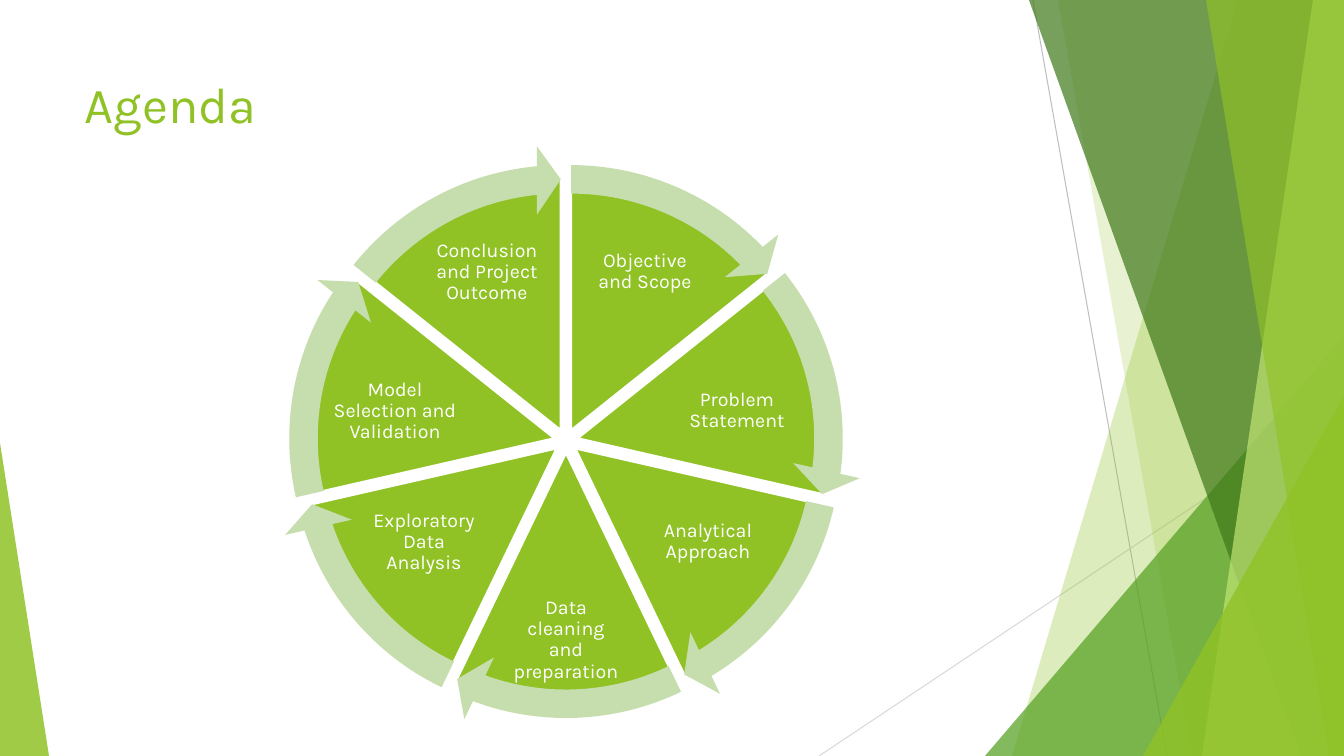
import math

import pptx
import pptx.util
import pptx.dml.color
import pptx.enum.shapes
import pptx.enum.text
import pptx.oxml.ns
import lxml.etree

PX = 914400 / 100.8
W, H = 1344, 756
FONT = "Karla"
COLORS = {
    "lime": "90C226", "green": "54A021", "forest": "3F7819", "pale": "C0E474",
    "arrow": "C6DDAD", "white": "FFFFFF", "line": "BFBFBF", "faint": "D9D9D9",
}
SHAPE = pptx.enum.shapes.MSO_SHAPE
ALIGN = pptx.enum.text.PP_ALIGN
ANCHOR = pptx.enum.text.MSO_ANCHOR
TURN = 216  # a full turn in adjustment units
LABELS = [
    "Objective and Scope", "Problem Statement", "Analytical Approach",
    "Data cleaning and preparation", "Exploratory Data Analysis",
    "Model Selection and Validation", "Conclusion and Project Outcome",
]


def emu(n):
    return pptx.util.Emu(round(n * PX))


def rgb(name):
    return pptx.dml.color.RGBColor.from_string(COLORS[name])


def paint(s, color, alpha=100, outline=None):
    s.shadow.inherit = False
    s.fill.solid()
    s.fill.fore_color.rgb = rgb(color)
    if alpha < 100:
        clr = s.fill._xPr.find(".//" + pptx.oxml.ns.qn("a:srgbClr"))
        lxml.etree.SubElement(clr, pptx.oxml.ns.qn("a:alpha"), val=str(alpha * 1000))
    if outline:
        s.line.color.rgb = rgb(outline)
        s.line.width = pptx.util.Pt(1.5)
    else:
        s.line.fill.background()


def add_preset(shapes, kind, box, adjustments, color, **look):
    s = shapes.add_shape(kind, *map(emu, box))
    for i, value in enumerate(adjustments):
        s.adjustments[i] = value
    paint(s, color, **look)


def add_text(shapes, text, box, size, color, align=ALIGN.LEFT, anchor=ANCHOR.TOP,
             inset=(10, 5), spacing=1.0):
    tf = shapes.add_textbox(*map(emu, box)).text_frame
    tf.word_wrap = True
    tf.vertical_anchor = anchor
    tf.margin_left = tf.margin_right = emu(inset[0])
    tf.margin_top = tf.margin_bottom = emu(inset[1])
    p = tf.paragraphs[0]
    p.alignment = align
    p.line_spacing = spacing
    r = p.add_run()
    r.text = text
    r.font.name = FONT
    r.font.size = pptx.util.Pt(size)
    r.font.color.rgb = rgb(color)


def add_facets(shapes, box):
    """Translucent facets, each reaching the right edge of the box."""
    x, y, w, h = box

    def line(x1, y1, x2, y2, color):
        c = shapes.add_connector(pptx.enum.shapes.MSO_CONNECTOR.STRAIGHT,
                                 emu(x + x1), emu(y + y1), emu(x + x2), emu(y + y2))
        c.line.color.rgb = rgb(color)
        c.line.width = pptx.util.Pt(0.75)
        lxml.etree.SubElement(c._element.spPr, pptx.oxml.ns.qn("a:effectLst"))

    def band(top, bottom, color, alpha):
        fb = shapes.build_freeform(x + top, y, scale=PX)
        fb.add_line_segments([(x + w, y), (x + w, y + h), (x + bottom, y + h)])
        paint(fb.convert_to_shape(), color, alpha)

    def corner(left, top, color, alpha):
        add_preset(shapes, SHAPE.ISOSCELES_TRIANGLE,
                   (x + left, y + top, w - left, h - top), [1], color, alpha=alpha)

    line(214, 0, 348, h, "line")
    line(w, 406, 0, h, "faint")
    band(419, 193, "lime", 30)
    band(239, 373, "lime", 20)
    corner(166, 336, "green", 72)
    band(210, 482, "forest", 70)
    band(494, 383, "pale", 70)
    band(387, 510, "lime", 65)
    corner(324, 396, "lime", 80)


def add_wheel(shapes, box):
    """Seven pushed-out slices with labels, ringed by arrows."""
    x, y, w, h = box
    cx, cy = x + w / 2, y + h / 2
    gap, pie, step = 12, w - 64, TURN / len(LABELS)
    # Label centres from the wheel centre, and sizes; the left side mirrors the right
    right = [(79, -169, 121, 97), (171, -30, 139, 85), (142, 101, 121, 94)]
    left = [(-dx, dy, lw, lh) for dx, dy, lw, lh in reversed(right)]
    places = right + [(0, 199, 118, 85)] + left

    def slot(i, size):
        angle = math.radians((i + 0.5) * 360 / len(LABELS) - 90)
        return (cx + gap * math.cos(angle) - size / 2,
                cy + gap * math.sin(angle) - size / 2, size, size)

    def start(i):
        return (162 + i * step) % TURN

    # Slices and labels
    for i, (label, (dx, dy, lw, lh)) in enumerate(zip(LABELS, places)):
        add_preset(shapes, SHAPE.PIE, slot(i, pie), [start(i), start(i + 1)],
                   "lime", outline="white")
        add_text(shapes, label, (cx + dx - lw / 2, cy + dy - lh / 2, lw, lh), 14, "white",
                 align=ALIGN.CENTER, anchor=ANCHOR.MIDDLE, inset=(2, 2), spacing=0.9)
    # Arrows
    for i in range(len(LABELS)):
        end = (start(i) + 27.58) % TURN
        add_preset(shapes, SHAPE.CIRCULAR_ARROW, slot(i, w),
                   [0.05, 3.28, end, start(i), 0.06], "arrow")


def main():
    prs = pptx.Presentation()
    prs.slide_width, prs.slide_height = emu(W), emu(H)
    slide = prs.slides.add_slide(prs.slide_layouts[6])
    # Background decoration
    decor = slide.shapes.add_group_shape().shapes
    add_facets(decor, (819, 0, 525, H))
    add_preset(decor, SHAPE.ISOSCELES_TRIANGLE, (0, 443, 49, 313), [0], "lime", alpha=85)
    # Title and agenda wheel
    add_text(slide.shapes, "Agenda", (75, 68, 948, 145), 36, "lime")
    add_wheel(slide.shapes.add_group_shape().shapes, (281, 156, 570, 570))
    prs.save("out.pptx")


if __name__ == "__main__":
    main()
